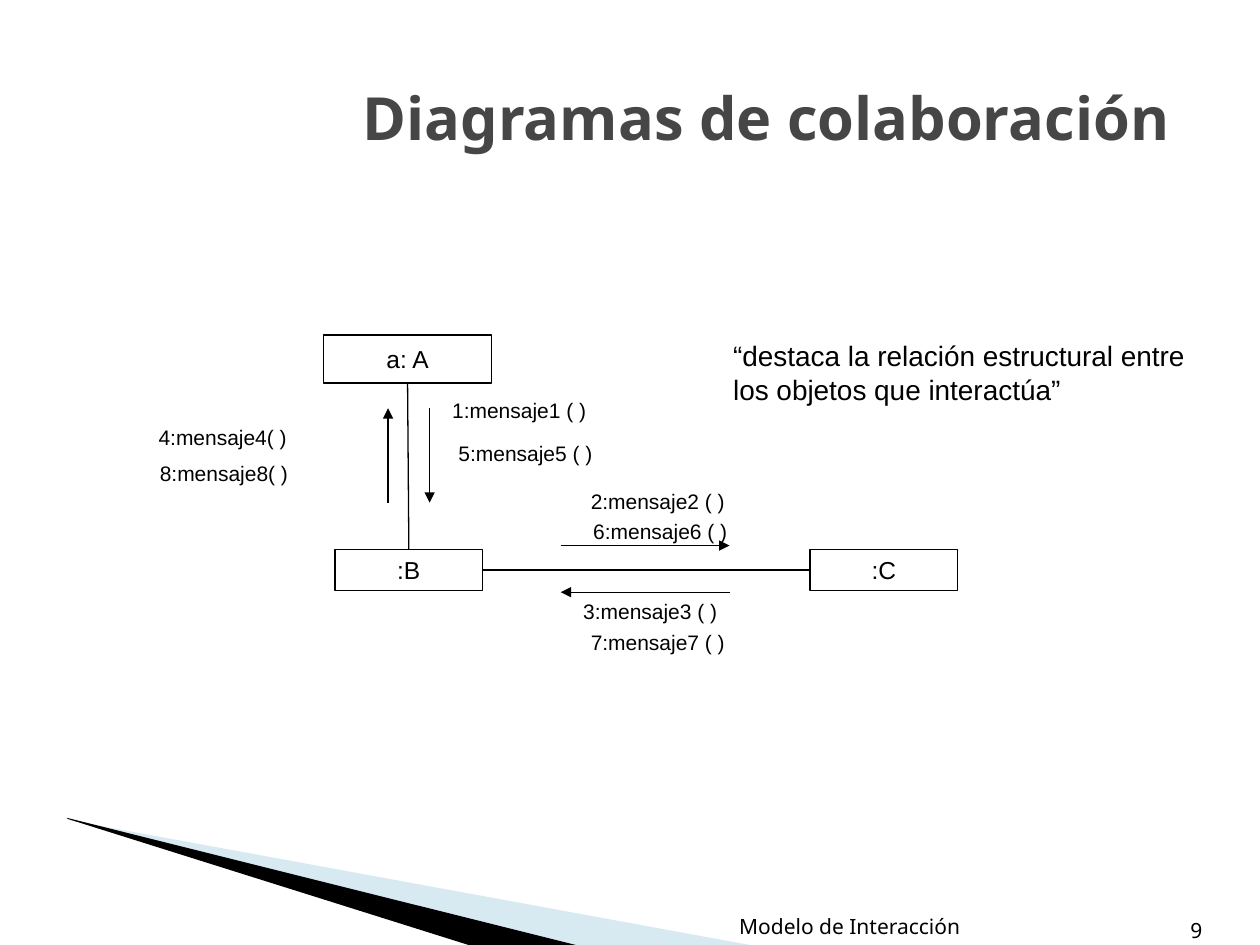
from lxml.etree import SubElement
from pptx import Presentation
from pptx.dml.color import RGBColor
from pptx.enum.shapes import MSO_CONNECTOR, MSO_SHAPE
from pptx.enum.text import MSO_ANCHOR, MSO_AUTO_SIZE, PP_ALIGN
from pptx.oxml.ns import qn
from pptx.util import Inches, Pt

BLACK = "000000"
TITLE = "Diagramas de colaboración"
QUOTE = "“destaca la relación estructural entre los objetos que interactúa”"
WEDGES = [
    ("9FCBDC", 40, [(0.55, 6.51), (5.95, 7.5), (4.56, 7.5), (0.55, 6.5)]),
    (BLACK, 100, [(0.53, 6.49), (4.57, 7.5), (3.72, 7.5), (0.54, 6.5)]),
]
OBJECTS = {
    "a: A": (2.57, 2.66, 1.33, 0.38),
    ":B": (2.66, 4.36, 1.17, 0.33),
    ":C": (6.43, 4.36, 1.17, 0.33),
}
LINKS = [("a: A", 2, ":B", 0), (":B", 3, ":C", 1)]
ARROWS = [
    (3.41, 3.24, 3.41, 3.99),
    (3.08, 3.99, 3.08, 3.24),
    (4.45, 4.33, 5.79, 4.33),
    (5.79, 4.7, 4.45, 4.7),
]
MESSAGES = [
    ("1:mensaje1 ( )", 3.49, 3.11),
    ("2:mensaje2 ( )", 4.59, 3.83),
    ("3:mensaje3 ( )", 4.53, 4.7),
    ("4:mensaje4( )", 1.16, 3.32),
    ("5:mensaje5 ( )", 3.54, 3.45),
    ("6:mensaje6 ( )", 4.61, 4.07),
    ("7:mensaje7 ( )", 4.59, 4.95),
    ("8:mensaje8( )", 1.17, 3.61),
]
FOOTERS = [
    ("Modelo de Interacción", (5.16, 7, 3.17, 0.5), PP_ALIGN.CENTER),
    ("9", (7.07, 7.13, 2.57, 0.4), PP_ALIGN.RIGHT),
]


def color(value):
    return RGBColor.from_string(value)


def write(shape, text, size, font="Arial", align=PP_ALIGN.LEFT,
          anchor=MSO_ANCHOR.TOP, ink=BLACK, bold=False):
    frame = shape.text_frame
    frame.text = text
    frame.word_wrap = True
    frame.vertical_anchor = anchor
    paragraph = frame.paragraphs[0]
    paragraph.alignment = align
    run_font = paragraph.runs[0].font
    run_font.name, run_font.size, run_font.bold = font, Pt(size), bold
    run_font.color.rgb = color(ink)


def add_text(slide, text, box, size, **style):
    shape = slide.shapes.add_textbox(*map(Inches, box))
    write(shape, text, size, **style)
    return shape


def add_label(slide, text, box, size):
    shape = add_text(slide, text, box, size)
    shape.text_frame.auto_size = MSO_AUTO_SIZE.SHAPE_TO_FIT_TEXT


def add_wedge(slide, fill, opacity, points):
    start, *rest = [(Inches(x), Inches(y)) for x, y in points]
    builder = slide.shapes.build_freeform(*start)
    builder.add_line_segments(rest)
    shape = builder.convert_to_shape()
    shape.shadow.inherit = False
    shape.line.fill.background()
    shape.fill.solid()
    shape.fill.fore_color.rgb = color(fill)
    if opacity < 100:
        tint = shape.fill._xPr.find(".//" + qn("a:srgbClr"))
        SubElement(tint, qn("a:alpha")).set("val", str(opacity * 1000))


def add_object(slide, name, box):
    shape = slide.shapes.add_shape(MSO_SHAPE.RECTANGLE, *map(Inches, box))
    shape.shadow.inherit = False
    shape.fill.background()
    shape.line.color.rgb = color(BLACK)
    shape.line.width = Pt(0.75)
    write(shape, name, 14, align=PP_ALIGN.CENTER, anchor=MSO_ANCHOR.MIDDLE)
    return shape


def add_line(slide, ends=(0, 0, 0, 0), arrow=False):
    connector = slide.shapes.add_connector(MSO_CONNECTOR.STRAIGHT, *map(Inches, ends))
    connector.line.color.rgb = color(BLACK)
    connector.line.width = Pt(0.75)
    if arrow:
        SubElement(connector.line._get_or_add_ln(), qn("a:tailEnd")).set("type", "triangle")
    SubElement(connector._element.spPr, qn("a:effectLst"))
    return connector


def main():
    """Build the collaboration diagram slide."""
    presentation = Presentation()
    presentation.slide_width, presentation.slide_height = Inches(10), Inches(7.5)
    slide = presentation.slides.add_slide(presentation.slide_layouts[5])

    for wedge in WEDGES:
        add_wedge(slide, *wedge)
    for text, box, align in FOOTERS:
        add_text(slide, text, box, 12, font="Noto Sans", align=align,
                 anchor=MSO_ANCHOR.BOTTOM)

    title = slide.shapes.title
    title.left, title.top, title.width, title.height = map(Inches, (0.5, 0.3, 9, 1.25))
    write(title, TITLE, 34, font="Noto Sans", align=PP_ALIGN.RIGHT,
          anchor=MSO_ANCHOR.MIDDLE, ink="464646", bold=True)
    title.text_frame.margin_right = Inches(0.22)

    objects = {name: add_object(slide, name, box) for name, box in OBJECTS.items()}
    for source, source_side, target, target_side in LINKS:
        link = add_line(slide)
        link.begin_connect(objects[source], source_side)
        link.end_connect(objects[target], target_side)
    for ends in ARROWS:
        add_line(slide, ends, arrow=True)
    for text, left, top in MESSAGES:
        add_label(slide, text, (left, top, 1.28, 0.3), 12)
    add_label(slide, QUOTE, (5.72, 2.64, 4, 0.64), 16)

    presentation.save("out.pptx")


if __name__ == "__main__":
    main()
